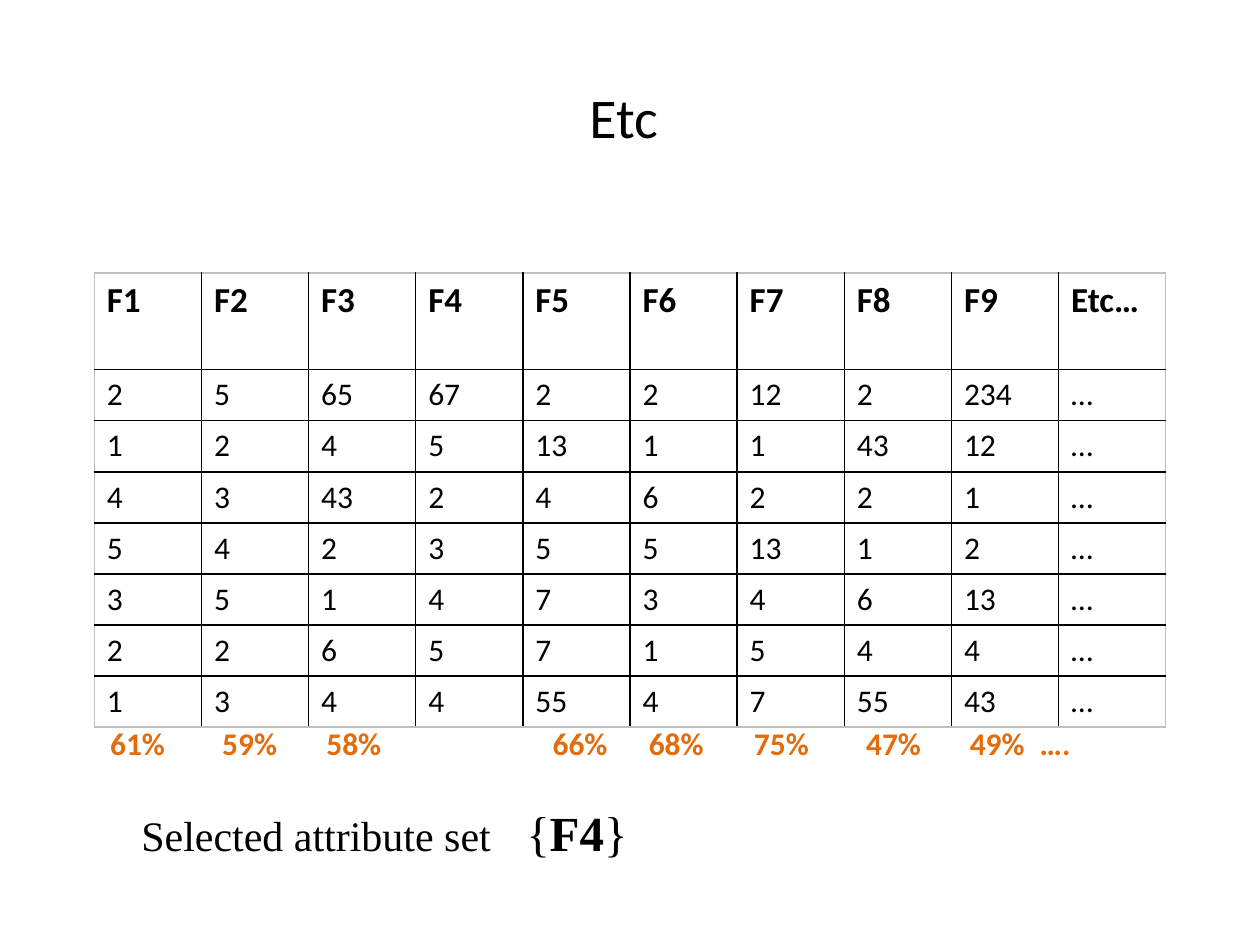
from lxml import etree
from pptx import Presentation
from pptx.dml.color import RGBColor
from pptx.enum import text
from pptx.oxml import ns
from pptx.util import Cm, Pt

BLACK, ORANGE, EDGE_GREY = "000000", "E46C0A", "C0C0C0"

HEADERS = ["F1", "F2", "F3", "F4", "F5", "F6", "F7", "F8", "F9", "Etc…"]
SAMPLES = [
    [2, 5, 65, 67, 2, 2, 12, 2, 234, "…"],
    [1, 2, 4, 5, 13, 1, 1, 43, 12, "…"],
    [4, 3, 43, 2, 4, 6, 2, 2, 1, "…"],
    [5, 4, 2, 3, 5, 5, 13, 1, 2, "…"],
    [3, 5, 1, 4, 7, 3, 4, 6, 13, "…"],
    [2, 2, 6, 5, 7, 1, 5, 4, 4, "…"],
    [1, 3, 4, 4, 55, 4, 7, 55, 43, "…"],
]
# Each accuracy with its distance in cm from the start of the line
ACCURACIES = [("61%", 0), ("59%", 2.26), ("58%", 4.36), ("66%", 8.92),
              ("68%", 10.86), ("75%", 12.98), ("47%", 15.24),
              ("49%", 17.33), ("….", 18.74)]


def rgb(code):
    return RGBColor.from_string(code)


def style(font, size, color=BLACK, bold=False, name="Calibri"):
    font.name, font.size, font.bold = name, Pt(size), bold
    font.color.rgb = rgb(color)


def set_tabs(paragraph, stops):
    tabs = etree.SubElement(paragraph._p.get_or_add_pPr(), ns.qn("a:tabLst"))
    for stop in stops:
        etree.SubElement(tabs, ns.qn("a:tab"), pos=str(Cm(stop)), algn="l")


def add_line(slide, left, top, width, height):
    """Add a wrapping text box and return its frame and first paragraph."""
    frame = slide.shapes.add_textbox(
        Cm(left), Cm(top), Cm(width), Cm(height)).text_frame
    frame.word_wrap = True
    return frame, frame.paragraphs[0]


def add_title(slide, left, top, width, height):
    frame, title = add_line(slide, left, top, width, height)
    frame.vertical_anchor = text.MSO_ANCHOR.MIDDLE
    title.text = "Etc "
    title.alignment = text.PP_ALIGN.CENTER
    style(title.font, 32)


def set_borders(cell, colors):
    """Draw the left, right, top and bottom borders in the given colours."""
    properties = cell._tc.get_or_add_tcPr()
    for index, (side, color) in enumerate(zip("LRTB", colors)):
        line = etree.Element(ns.qn(f"a:ln{side}"), w=str(Pt(1)))
        fill = etree.SubElement(line, ns.qn("a:solidFill"))
        etree.SubElement(fill, ns.qn("a:srgbClr"), val=color)
        properties.insert(index, line)


def add_samples(slide, left, top, width, header_height, row_height):
    rows = [HEADERS] + SAMPLES
    last_row, last_column = len(rows) - 1, len(HEADERS) - 1
    height = header_height + row_height * last_row
    table = slide.shapes.add_table(len(rows), len(HEADERS), Cm(left), Cm(top),
                                   Cm(width), Cm(height)).table
    table.first_row = table.horz_banding = False
    for r, values in enumerate(rows):
        table.rows[r].height = Cm(row_height if r else header_height)
        for c, value in enumerate(values):
            cell = table.cell(r, c)
            cell.text = str(value)
            style(cell.text_frame.paragraphs[0].font, 18 if r else 20, bold=r == 0)
            cell.fill.background()
            outer = (c == 0, c == last_column, r == 0, r == last_row)
            set_borders(cell, [EDGE_GREY if edge else BLACK for edge in outer])


def add_accuracies(slide, left, top, width, height):
    _, accuracies = add_line(slide, left, top, width, height)
    accuracies.text = "\t".join(label for label, _ in ACCURACIES)
    set_tabs(accuracies, [stop for _, stop in ACCURACIES[1:]])
    style(accuracies.font, 18, ORANGE, bold=True)


def add_selection(slide, left, top, width, height):
    _, selection = add_line(slide, left, top, width, height)
    set_tabs(selection, [7.76])
    for words, size, bold in [("Selected attribute set\t", 24, False),
                              ("{", 28, False), ("F4", 28, True),
                              ("}", 28, False)]:
        run = selection.add_run()
        run.text = words
        style(run.font, size, bold=bold, name="Times New Roman")


def main():
    deck = Presentation()
    deck.slide_width, deck.slide_height = Cm(25.4), Cm(19.05)
    slide = deck.slides.add_slide(deck.slide_layouts[6])
    add_title(slide, 1.27, 0.76, 22.86, 3.18)
    add_samples(slide, 1.9, 5.5, 21.6, 1.95, 1.03)
    add_selection(slide, 2.6, 16.05, 10.6, 1.45)
    add_accuracies(slide, 1.97, 14.48, 22.55, 1.02)
    deck.save("out.pptx")


if __name__ == "__main__":
    main()
